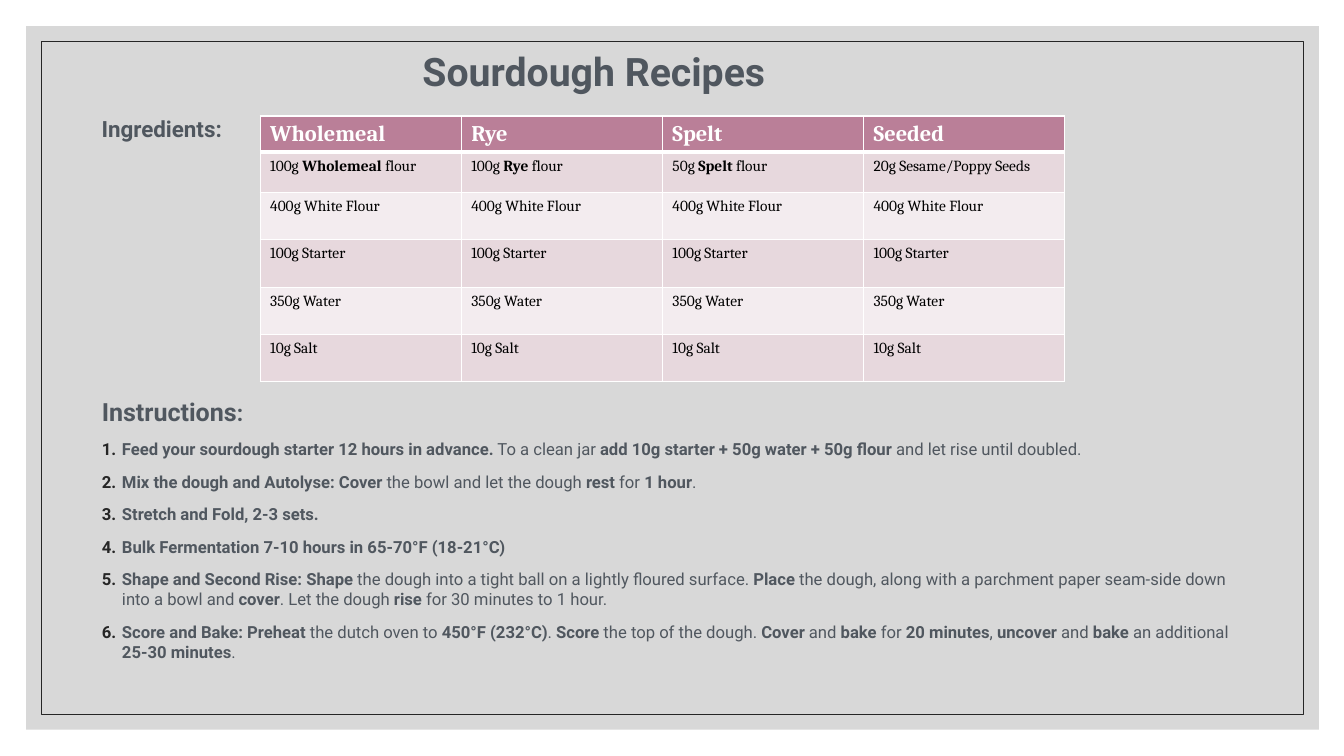
import pptx
import pptx.util
import pptx.dml.color
import pptx.enum.shapes
import pptx.enum.text
import pptx.oxml.ns
import lxml.etree

PX = 9144  # 100 px to the inch
COLORS = {"panel": "BFBFBF", "line": "262626", "text": "50575F", "white": "FFFFFF",
          "black": "000000", "header": "BA7F98", "odd": "E7D8DD", "even": "F3ECEF"}

RECIPES = [
    ["Wholemeal", "Rye", "Spelt", "Seeded"],
    ["100g **Wholemeal** flour", "100g **Rye** flour", "50g **Spelt** flour",
     "20g Sesame/Poppy Seeds"],
    *[[item] * 4 for item in ("400g White Flour", "100g Starter", "350g Water", "10g Salt")],
]
ROW_HEIGHTS = [36, 40, 47, 47, 47, 47]

STEPS = [
    "**Feed your sourdough starter 12 hours in advance.** To a clean jar "
    "**add 10g starter + 50g water + 50g flour** and let rise until doubled.",
    "**Mix the dough and Autolyse: Cover** the bowl and let the dough **rest** for **1 hour**.",
    "**Stretch and Fold, 2-3 sets.**",
    "**Bulk Fermentation 7-10 hours in 65-70°F (18-21°C)**",
    "**Shape and Second Rise: Shape** the dough into a tight ball on a lightly floured surface. "
    "**Place** the dough, along with a parchment paper seam-side down into a bowl and **cover**. "
    "Let the dough **rise** for 30 minutes to 1 hour.",
    "**Score and Bake: Preheat** the dutch oven to **450°F (232°C)**. **Score** the top of the "
    "dough. **Cover** and **bake** for **20 minutes**, **uncover** and **bake** an "
    "additional **25-30 minutes**.",
]


def px(n):
    return pptx.util.Emu(int(n * PX))


def rgb(name):
    return pptx.dml.color.RGBColor.from_string(COLORS[name])


def sub(parent, tag, **attrs):
    return lxml.etree.SubElement(parent, pptx.oxml.ns.qn(tag), attrs)


def add_text(p, text, size=12, color="text", font="Roboto", bold=False):
    """Add runs to a paragraph; **marks** switch bold on and off."""
    for i, part in enumerate(text.split("**")):
        if part:
            r = p.add_run()
            r.text = part
            r.font.name, r.font.size = font, pptx.util.Pt(size)
            r.font.bold = bold or i % 2 == 1
            r.font.color.rgb = rgb(color)


class Deck:
    def __init__(self, width, height):
        self.prs = pptx.Presentation()
        self.prs.slide_width, self.prs.slide_height = px(width), px(height)
        self.s = self.prs.slides.add_slide(self.prs.slide_layouts[1])

    def rect(self, x, y, w, h, fill=None, alpha=100, line=None):
        sp = self.s.shapes.add_shape(pptx.enum.shapes.MSO_SHAPE.RECTANGLE,
                                     px(x), px(y), px(w), px(h))
        sp.shadow.inherit = False
        if fill:
            sp.fill.solid()
            sp.fill.fore_color.rgb = rgb(fill)
            clr = sp._element.spPr.find(".//" + pptx.oxml.ns.qn("a:srgbClr"))
            sub(clr, "a:alpha", val=str(alpha * 1000))
        else:
            sp.fill.background()
        if line:
            sp.line.color.rgb = rgb(line)
            sp.line.width = pptx.util.Pt(0.5)
        else:
            sp.line.fill.background()

    def frame(self, sp):
        tf = sp.text_frame
        tf.word_wrap = True
        tf.auto_size = pptx.enum.text.MSO_AUTO_SIZE.NONE
        tf.vertical_anchor = pptx.enum.text.MSO_ANCHOR.TOP
        tf.paragraphs[0].alignment = pptx.enum.text.PP_ALIGN.LEFT
        return tf

    def placeholder(self, idx, x, y, w, h):
        sp = self.s.placeholders[idx]
        sp.left, sp.top, sp.width, sp.height = px(x), px(y), px(w), px(h)
        self.s.shapes._spTree.append(sp._element)  # bring in front of the panel
        return self.frame(sp)

    def textbox(self, x, y, w, h):
        return self.frame(self.s.shapes.add_textbox(px(x), px(y), px(w), px(h)))

    def bullet(self, p, numbered):
        p.space_before = pptx.util.Pt(9)
        pPr = p._p.get_or_add_pPr()
        indent = px(20) if numbered else 0
        pPr.set("marL", str(indent))
        pPr.set("indent", str(-indent))
        if numbered:
            sub(sub(pPr, "a:buClr"), "a:srgbClr", val=COLORS["line"])
            sub(pPr, "a:buFont", typeface="Roboto")
            sub(pPr, "a:buAutoNum", type="arabicPeriod")
        else:
            sub(pPr, "a:buNone")

    def cell(self, cell, text, row):
        tcPr = cell._tc.get_or_add_tcPr()
        for side in "LRTB":
            thick = (row, side) in ((0, "B"), (1, "T"))
            ln = sub(tcPr, "a:ln" + side, w=str(pptx.util.Pt(3 if thick else 1)))
            sub(sub(ln, "a:solidFill"), "a:srgbClr", val=COLORS["white"])
        cell.fill.solid()
        cell.fill.fore_color.rgb = rgb("header" if row == 0 else "odd" if row % 2 else "even")
        style = dict(size=16, color="white", bold=True) if row == 0 else dict(size=11, color="black")
        add_text(cell.text_frame.paragraphs[0], text, font="Cambria", **style)

    def table(self, x, y, w, rows, heights):
        tbl = self.s.shapes.add_table(len(rows), len(rows[0]), px(x), px(y),
                                      px(w), px(sum(heights))).table
        for i, (texts, height) in enumerate(zip(rows, heights)):
            tbl.rows[i].height = px(height)
            for j, text in enumerate(texts):
                self.cell(tbl.cell(i, j), text, i)


def main():
    deck = Deck(1333, 750)

    # Panel and inner frame
    deck.rect(26, 26, 1282, 698, fill="panel", alpha=60)
    deck.rect(41, 41, 1252, 668, line="line")

    # Instructions
    tf = deck.placeholder(1, 91, 388, 1151, 292)
    p = tf.paragraphs[0]
    deck.bullet(p, numbered=False)
    add_text(p, "Instructions", size=17.9, bold=True)
    add_text(p, ":", size=16.1, bold=True)
    for step in STEPS:
        p = tf.add_paragraph()
        deck.bullet(p, numbered=True)
        add_text(p, step, size=11.9)

    # Ingredients label
    p = deck.textbox(91, 104, 1100, 421).paragraphs[0]
    p.line_spacing, p.space_before = 1.2, pptx.util.Pt(9)
    add_text(p, "Ingredients:", size=16, bold=True)

    # Title
    tf = deck.placeholder(0, 409, 42, 667, 57)
    add_text(tf.paragraphs[0], "Sourdough Recipes", size=28, bold=True)

    # Ingredients table
    deck.table(258, 115, 798, RECIPES, ROW_HEIGHTS)

    deck.prs.save("out.pptx")


if __name__ == "__main__":
    main()
